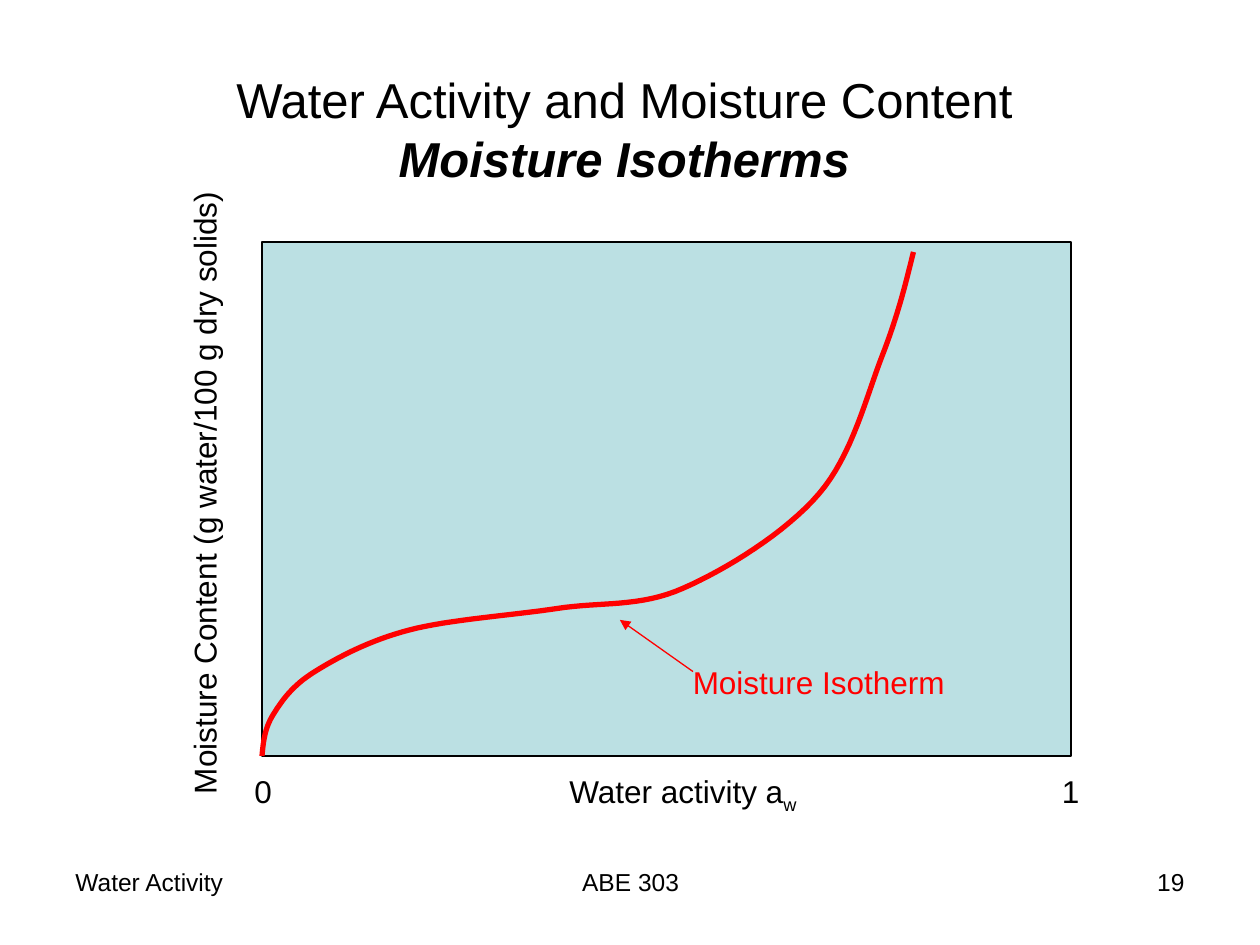
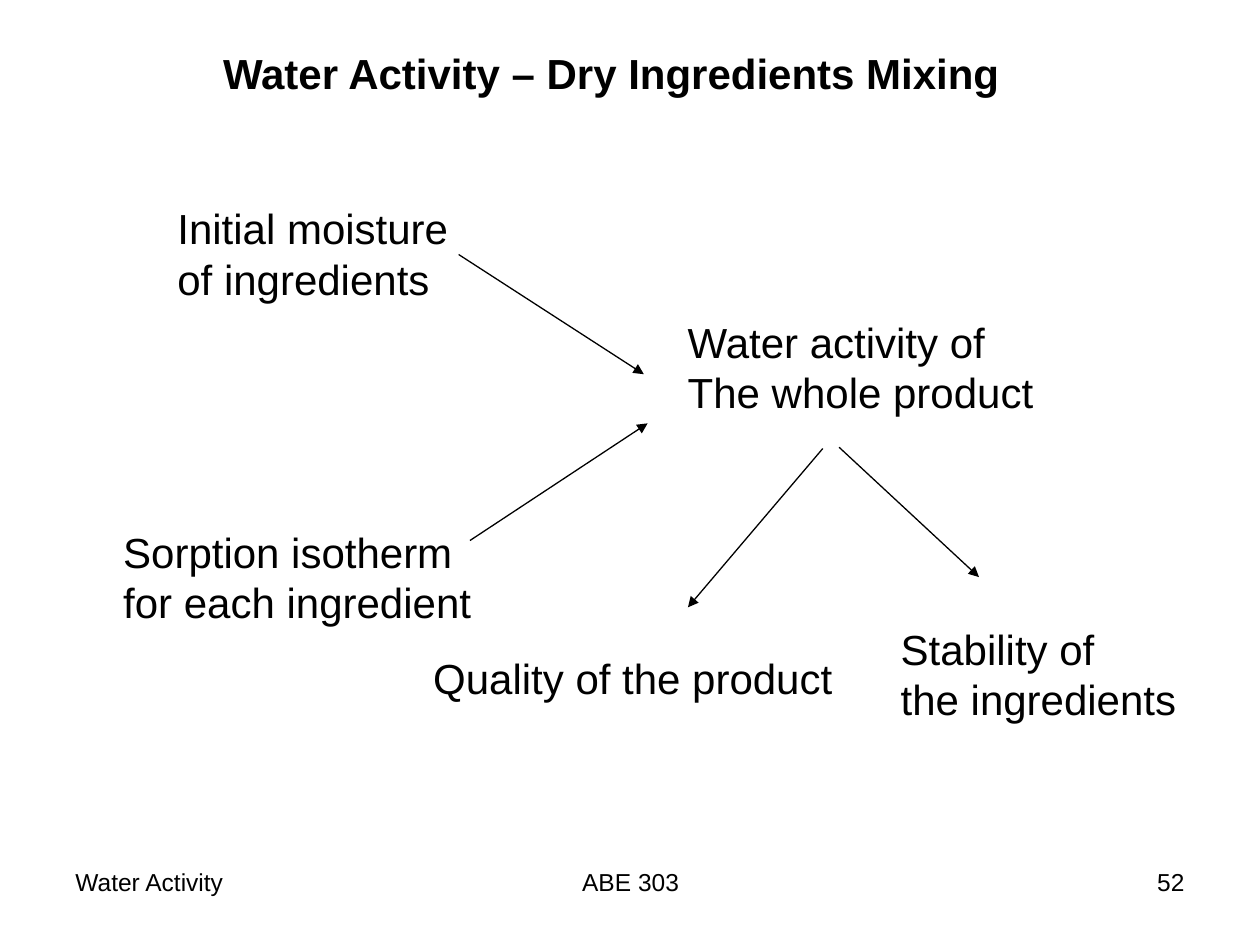
from dataclasses import dataclass, field
from typing import Any

from lxml.etree import SubElement
from pptx import Presentation
from pptx.dml.color import RGBColor as Rgb
from pptx.enum.shapes import MSO_CONNECTOR as Connector, MSO_SHAPE as Preset
from pptx.enum.text import MSO_ANCHOR as Anchor, MSO_AUTO_SIZE as Fit, PP_ALIGN as Align
from pptx.oxml.ns import qn
from pptx.util import Emu, Pt

PX = 9144
TITLE_ONLY = 5
CURVE_STEPS = 16
COLORS = {"ink": "000000", "plot": "BBE0E3", "isotherm": "FF0000"}
FRAME = {
    "auto_size": Fit.NONE,
    "vertical_anchor": Anchor.TOP,
    "margin_left": Emu(10 * PX),
    "margin_right": Emu(10 * PX),
    "margin_top": Emu(5 * PX),
    "margin_bottom": Emu(5 * PX),
}
SPACING = {"space_before": Pt(0), "space_after": Pt(0), "line_spacing": 1.0}
Box = tuple[int, int, int, int]
Point = tuple[float, float]


@dataclass(frozen=True)
class Run:
    text: str
    style: dict[str, Any] = field(default_factory=dict)
    baseline: int = 0


@dataclass(frozen=True)
class Label:
    box: Box
    lines: tuple[tuple[Run, ...], ...]
    size: int = 24
    color: str = "ink"
    align: Align = Align.LEFT
    rotation: int = 0
    wrap: bool = False


@dataclass(frozen=True)
class Arrow:
    start: tuple[int, int]
    end: tuple[int, int]
    color: str = "ink"


def plain(*texts: str) -> tuple[tuple[Run, ...], ...]:
    return tuple((Run(text),) for text in texts)


def emu(*lengths: float) -> list[Emu]:
    return [Emu(round(length * PX)) for length in lengths]


def apply(target: Any, values: dict[str, Any]) -> None:
    for key, value in values.items():
        setattr(target, key, value)


def paint_line(line: Any, color: str, width: float) -> None:
    line.color.rgb = Rgb.from_string(COLORS[color])
    line.width = Pt(width)


def write(shape: Any, label: Label) -> None:
    left, top, width, height = emu(*label.box)
    apply(shape, {"left": left, "top": top, "width": width, "height": height,
                  "rotation": label.rotation})
    frame = shape.text_frame
    apply(frame, FRAME | {"word_wrap": label.wrap})
    for index, runs in enumerate(label.lines):
        paragraph = frame.add_paragraph() if index else frame.paragraphs[0]
        apply(paragraph, SPACING | {"alignment": label.align})
        for part in runs:
            run = paragraph.add_run()
            run.text = part.text
            apply(run.font, {"name": "Arial", "size": Pt(label.size)} | part.style)
            run.font.color.rgb = Rgb.from_string(COLORS[label.color])
            if part.baseline:
                run._r.get_or_add_rPr().set("baseline", str(part.baseline * 1000))


def add_label(slide: Any, label: Label) -> None:
    write(slide.shapes.add_textbox(*emu(*label.box)), label)


def add_arrow(slide: Any, arrow: Arrow) -> None:
    connector = slide.shapes.add_connector(
        Connector.STRAIGHT, *emu(*arrow.start, *arrow.end))
    paint_line(connector.line, arrow.color, 0.75)
    SubElement(connector.line._get_or_add_ln(), qn("a:tailEnd"), type="triangle")
    SubElement(connector._element.spPr, qn("a:effectLst"))


def add_titled_slide(deck: Any, title: Label, number: int) -> Any:
    slide = deck.slides.add_slide(deck.slide_layouts[TITLE_ONLY])
    write(slide.shapes.title, title)
    footers = (
        ("Water Activity", 50, 233, Align.LEFT),
        ("ABE 303", 342, 317, Align.CENTER),
        (str(number), 717, 233, Align.RIGHT),
    )
    for text, left, width, align in footers:
        add_label(slide, Label((left, 683, width, 52), plain(text), 14,
                               align=align, wrap=True))
    return slide


def smooth_curve(knots: list[Point]) -> list[Point]:
    def midpoint(a: Point, b: Point) -> Point:
        return (a[0] + b[0]) / 2, (a[1] + b[1]) / 2

    def handle(index: int, sign: int) -> Point:
        before, knot, after = knots[index - 1:index + 2]
        return (knot[0] + sign * (after[0] - before[0]) / 6,
                knot[1] + sign * (after[1] - before[1]) / 6)

    points = [knots[0]]
    last = len(knots) - 2
    for index, (start, end) in enumerate(zip(knots, knots[1:])):
        leaving = handle(index, 1) if index else midpoint(start, handle(1, -1))
        arriving = handle(index + 1, -1) if index < last else midpoint(leaving, end)
        for step in range(1, CURVE_STEPS + 1):
            t = step / CURVE_STEPS
            weights = ((1 - t) ** 3, 3 * t * (1 - t) ** 2, 3 * t * t * (1 - t), t ** 3)
            controls = (start, leaving, arriving, end)
            points.append((sum(w * c[0] for w, c in zip(weights, controls)),
                           sum(w * c[1] for w, c in zip(weights, controls))))
    return points


def build_isotherm_slide(deck: Any) -> None:
    title = Label(
        (175, 50, 641, 103),
        ((Run("Water Activity and Moisture Content"),),
         (Run("Moisture Isotherms", {"bold": True, "italic": True}),)),
        28, align=Align.CENTER)
    slide = add_titled_slide(deck, title, 19)

    plot_area = slide.shapes.add_shape(Preset.RECTANGLE, *emu(208, 192, 642, 408))
    plot_area.shadow.inherit = False
    plot_area.fill.solid()
    plot_area.fill.fore_color.rgb = Rgb.from_string(COLORS["plot"])
    paint_line(plot_area.line, "ink", 0.75)

    knots = [(208, 600), (217, 567), (250, 533), (325, 500), (442, 483),
             (542, 467), (650, 392), (700, 283), (725, 200)]
    first, *rest = [emu(*point) for point in smooth_curve(knots)]
    outline = slide.shapes.build_freeform(*first)
    outline.add_line_segments(rest, close=False)
    isotherm = outline.convert_to_shape()
    isotherm.shadow.inherit = False
    isotherm.fill.background()
    paint_line(isotherm.line, "isotherm", 3)

    add_arrow(slide, Arrow((550, 533), (492, 492), "isotherm"))
    for label in (
        Label((-87, 371, 498, 40), plain("Moisture Content (g water/100 g dry solids)"),
              18, rotation=270),
        Label((442, 608, 203, 40), ((Run("Water activity a"), Run("w", baseline=-25)),), 18),
        Label((192, 608, 34, 40), plain("0"), 18),
        Label((833, 608, 34, 40), plain("1"), 18),
        Label((540, 521, 220, 40), plain("Moisture Isotherm"), 18, "isotherm"),
    ):
        add_label(slide, label)


def build_mixing_slide(deck: Any) -> None:
    title = Label((167, 33, 639, 50),
                  ((Run("Water Activity – Dry Ingredients Mixing", {"bold": True}),),))
    slide = add_titled_slide(deck, title, 52)
    for label in (
        Label((131, 156, 244, 90), plain("Initial moisture", "of ingredients")),
        Label((88, 413, 297, 90), plain("Sorption isotherm", "for each ingredient")),
        Label((536, 246, 295, 90), plain("Water activity of", "The whole product")),
        Label((334, 513, 337, 50), plain("Quality of the product")),
        Label((705, 490, 239, 90), plain("Stability of", "the ingredients")),
    ):
        add_label(slide, label)
    for arrow in (
        Arrow((364, 202), (511, 297)),
        Arrow((373, 429), (514, 336)),
        Arrow((653, 356), (546, 482)),
        Arrow((666, 355), (777, 458)),
    ):
        add_arrow(slide, arrow)


def main() -> None:
    deck = Presentation()
    deck.slide_width, deck.slide_height = emu(1000, 750)
    build_isotherm_slide(deck)
    build_mixing_slide(deck)
    deck.save("out.pptx")


if __name__ == "__main__":
    main()
